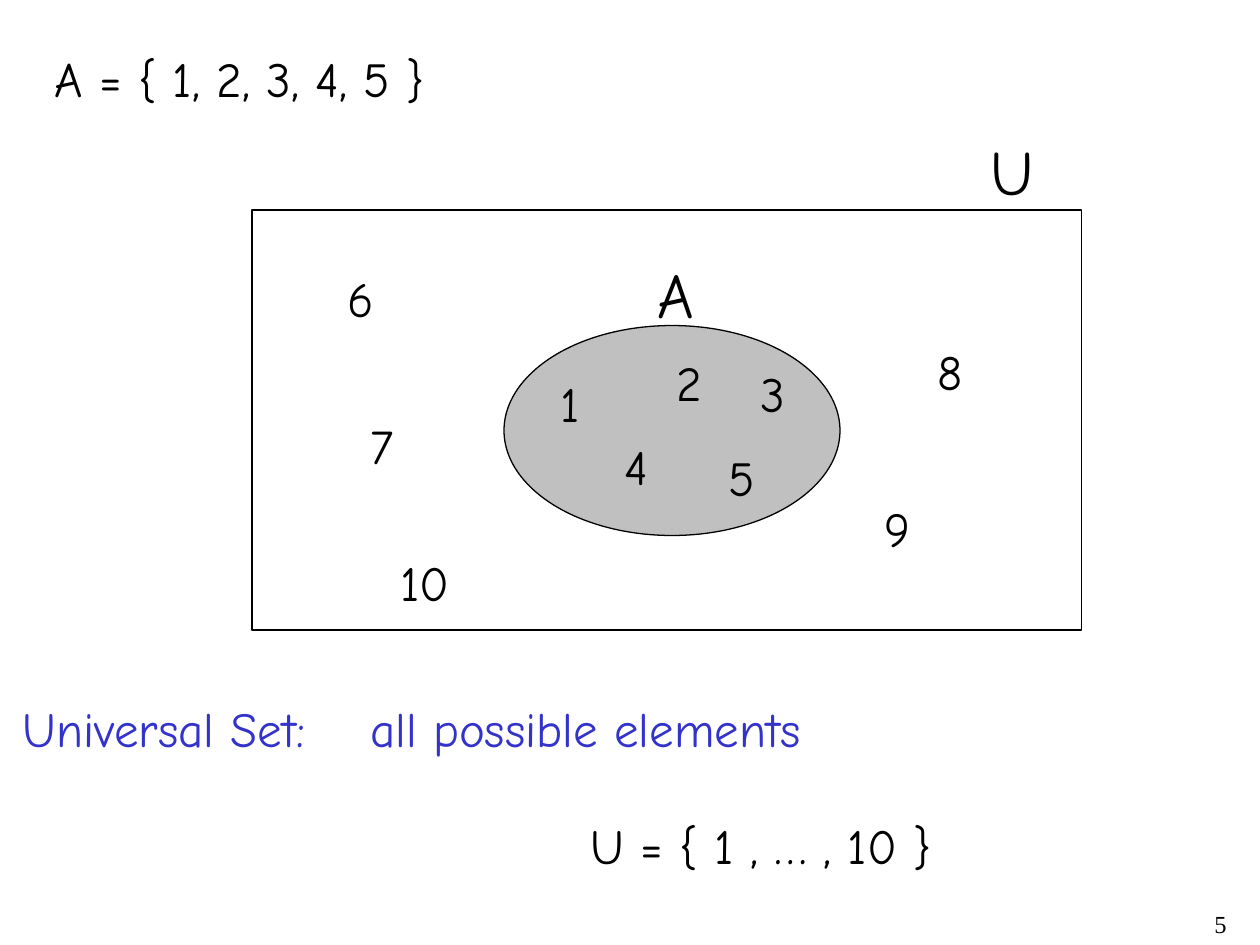
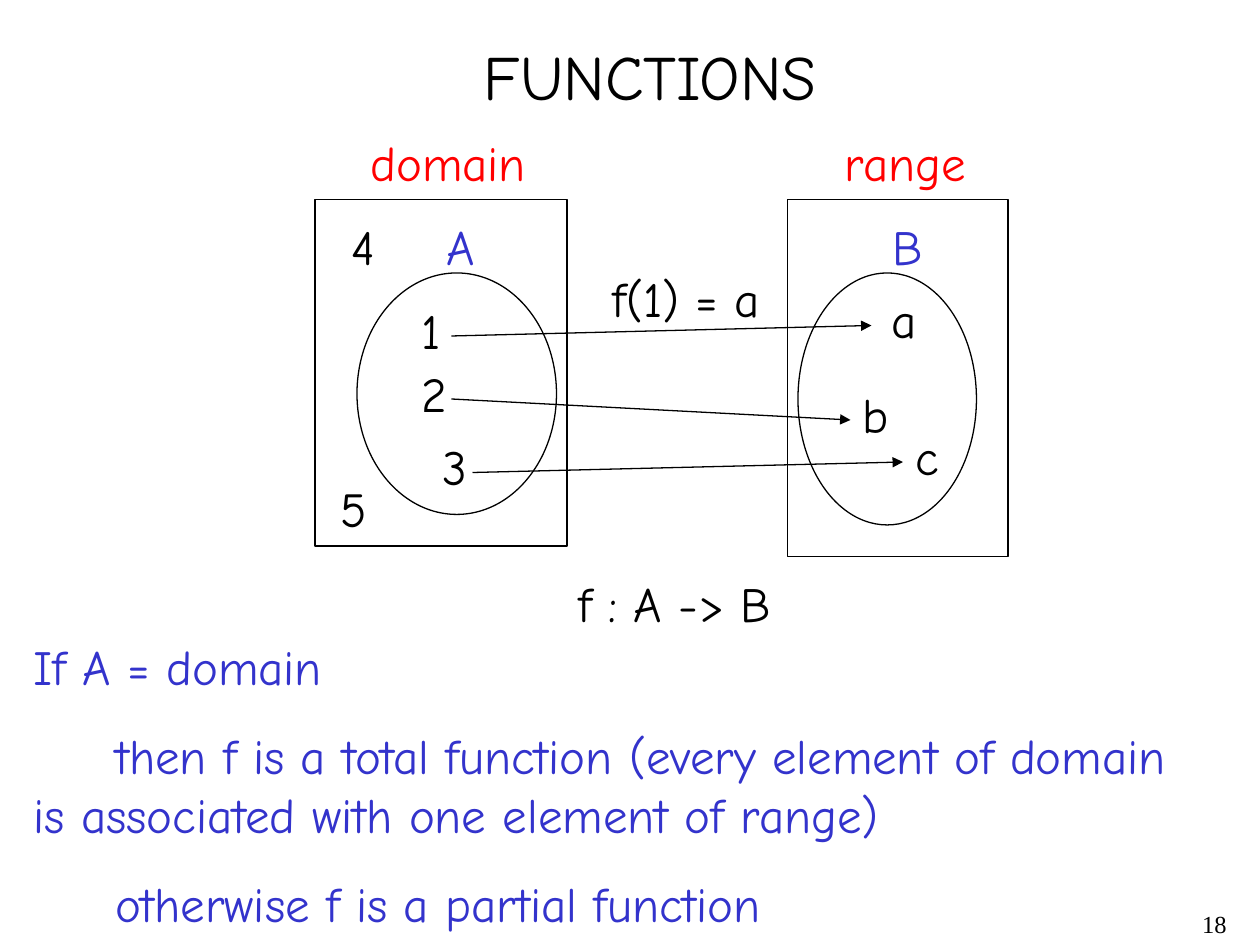
from dataclasses import dataclass

import lxml.etree
import pptx
import pptx.dml.color
import pptx.enum.shapes
import pptx.enum.text
import pptx.oxml.ns
import pptx.presentation
import pptx.shapes.base
import pptx.slide
import pptx.text.text
import pptx.util

Pt = pptx.util.Pt
RGBColor = pptx.dml.color.RGBColor
Shape = pptx.enum.shapes.MSO_SHAPE

BLACK = RGBColor(0x00, 0x00, 0x00)
BLUE = RGBColor(0x33, 0x33, 0xCC)
RED = RGBColor(0xFF, 0x00, 0x00)
GRAY = RGBColor(0xC0, 0xC0, 0xC0)
BODY_FONT = "Comic Neue"
NUMBER_FONT = "Times New Roman"
BODY_SIZE = 28
TITLE_SIZE = 36
LINE_WIDTH = Pt(0.75)
TITLE_ONLY, BLANK = 5, 6


@dataclass(frozen=True)
class Label:
    text: str
    left: float
    top: float
    width: float
    color: RGBColor = BLACK
    size: int = BODY_SIZE


@dataclass(frozen=True)
class Outline:
    kind: Shape
    left: float
    top: float
    width: float
    height: float
    fill: RGBColor | None = None


@dataclass(frozen=True)
class Arrow:
    start_x: float
    start_y: float
    end_x: float
    end_y: float


@dataclass(frozen=True)
class Line:
    text: str
    color: RGBColor
    space_before: float = 0
    first_indent: float = 0
    tab_stop: float = 0


UNIVERSE_OUTLINES = [
    Outline(Shape.OVAL, 288, 186, 192, 120, GRAY),
    Outline(Shape.RECTANGLE, 144, 120, 474, 240),
]
UNIVERSE_LABELS = [
    Label("A = { 1, 2, 3, 4, 5 }", 24, 24, 648),
    Label("1", 313.2, 210, 25.2),
    Label("2", 379.4, 198, 28.8),
    Label("3", 427.7, 204, 28),
    Label("4", 349.9, 246, 28),
    Label("5", 409, 252, 29.5),
    Label("A", 368.6, 142.6, 35.3, size=TITLE_SIZE),
    Label("U", 558.7, 72, 38.9, size=TITLE_SIZE),
    Label("6", 191.5, 150, 29.5),
    Label("7", 204.5, 234, 27.4),
    Label("8", 528.5, 191.5, 28.8),
    Label("9", 498.2, 281.5, 28.8),
    Label("10", 221.8, 312, 42.5),
]
UNIVERSE_LINES = [
    Line("Universal Set:\tall possible elements", BLUE, tab_stop=198.5),
    Line("U = { 1 , … , 10 }", BLACK, space_before=33.5, first_indent=324.5),
]

FUNCTION_OUTLINES = [
    Outline(Shape.OVAL, 204, 156, 114, 138),
    Outline(Shape.OVAL, 456, 156, 102, 144),
    Outline(Shape.RECTANGLE, 180, 114, 144, 198),
    Outline(Shape.RECTANGLE, 450, 114, 126, 204),
]
FUNCTION_ARROWS = [
    Arrow(258, 192, 498, 186),
    Arrow(258, 228, 486, 240),
    Arrow(270, 270, 516, 264),
]
FUNCTION_LABELS = [
    Label("domain", 204.5, 72, 104, RED),
    Label("range", 475.5, 72, 85, RED),
    Label("A", 248, 120, 30.2, BLUE),
    Label("B", 503, 120, 31.7, BLUE),
    Label("1", 234, 168, 25.2),
    Label("2", 234, 204, 28.8),
    Label("3", 246, 246, 28),
    Label("4", 193.7, 120, 28),
    Label("5", 187.2, 270, 29.5),
    Label("a", 502.6, 162, 28.8),
    Label("b", 486, 216, 29.5),
    Label("c", 516, 240, 27.4),
    Label("f(1) = a", 343, 150, 101),
    Label("f : A -> B", 323.5, 324, 136),
]
FUNCTION_LINES = [
    Line("If A = domain", BLUE),
    Line(
        "then f is a total function (every element of domain "
        "is associated with one element of range)",
        BLUE,
        space_before=17.5,
        first_indent=46.7,
    ),
    Line("otherwise f is a partial function", BLUE, space_before=17.5, first_indent=46.7),
]


def place(box: pptx.shapes.base.BaseShape, left: float, top: float,
          width: float, height: float) -> None:
    box.left, box.top, box.width, box.height = Pt(left), Pt(top), Pt(width), Pt(height)


def add_run(para: pptx.text.text._Paragraph, text: str, color: RGBColor,
            size: int = BODY_SIZE, font: str = BODY_FONT) -> None:
    span = para.add_run()
    span.text = text
    span.font.name = font
    span.font.size = Pt(size)
    span.font.color.rgb = color


def add_label(page: pptx.slide.Slide, label: Label) -> None:
    box = page.shapes.add_textbox(
        Pt(label.left), Pt(label.top), Pt(label.width), Pt(label.size * 1.2 + 7.2))
    frame = box.text_frame
    frame.word_wrap = label.width > 500
    frame.auto_size = pptx.enum.text.MSO_AUTO_SIZE.SHAPE_TO_FIT_TEXT
    add_run(frame.paragraphs[0], label.text, label.color, label.size)


def add_outline(page: pptx.slide.Slide, outline: Outline) -> None:
    shape = page.shapes.add_shape(
        outline.kind, Pt(outline.left), Pt(outline.top), Pt(outline.width), Pt(outline.height))
    shape.shadow.inherit = False
    if outline.fill is None:
        shape.fill.background()
    else:
        shape.fill.solid()
        shape.fill.fore_color.rgb = outline.fill
    shape.line.color.rgb = BLACK
    shape.line.width = LINE_WIDTH


def add_arrow(page: pptx.slide.Slide, arrow: Arrow) -> None:
    connector = page.shapes.add_connector(
        pptx.enum.shapes.MSO_CONNECTOR.STRAIGHT,
        Pt(arrow.start_x), Pt(arrow.start_y), Pt(arrow.end_x), Pt(arrow.end_y))
    connector.line.color.rgb = BLACK
    connector.line.width = LINE_WIDTH
    qualify = pptx.oxml.ns.qn
    properties = connector._element.spPr
    lxml.etree.SubElement(properties.find(qualify("a:ln")), qualify("a:tailEnd"), type="triangle")
    lxml.etree.SubElement(properties, qualify("a:effectLst"))


def add_lines(page: pptx.slide.Slide, lines: list[Line], left: float, top: float,
              width: float, height: float) -> None:
    box = page.shapes.add_textbox(Pt(left), Pt(top), Pt(width), Pt(height))
    frame = box.text_frame
    frame.word_wrap = True
    for index, line in enumerate(lines):
        para = frame.add_paragraph() if index else frame.paragraphs[0]
        properties = para._p.get_or_add_pPr()
        if line.first_indent:
            properties.set("marL", "0")
            properties.set("indent", str(Pt(line.first_indent)))
        if line.tab_stop:
            qualify = pptx.oxml.ns.qn
            stops = lxml.etree.SubElement(properties, qualify("a:tabLst"))
            lxml.etree.SubElement(
                stops, qualify("a:tab"), pos=str(Pt(line.tab_stop)), algn="l")
        if line.space_before:
            para.space_before = Pt(line.space_before)
        add_run(para, line.text, line.color)


def add_page_number(page: pptx.slide.Slide, number: int) -> None:
    box = page.shapes.add_textbox(Pt(558), Pt(516), Pt(150), Pt(24))
    box.text_frame.word_wrap = True
    para = box.text_frame.paragraphs[0]
    para.alignment = pptx.enum.text.PP_ALIGN.RIGHT
    add_run(para, str(number), BLACK, 14, NUMBER_FONT)


def set_title(page: pptx.slide.Slide, text: str) -> None:
    title = page.shapes.title
    place(title, 269.3, 18, 205.2, 50.4)
    frame = title.text_frame
    frame.auto_size = pptx.enum.text.MSO_AUTO_SIZE.NONE
    frame.word_wrap = False
    frame.vertical_anchor = pptx.enum.text.MSO_ANCHOR.TOP
    para = frame.paragraphs[0]
    para.alignment = pptx.enum.text.PP_ALIGN.LEFT
    add_run(para, text, BLACK, TITLE_SIZE)


def build_universe_page(deck: pptx.presentation.Presentation) -> None:
    page = deck.slides.add_slide(deck.slide_layouts[BLANK])
    add_page_number(page, 5)
    for outline in UNIVERSE_OUTLINES:
        add_outline(page, outline)
    for label in UNIVERSE_LABELS:
        add_label(page, label)
    add_lines(page, UNIVERSE_LINES, 6, 395.5, 540, 108)


def build_functions_page(deck: pptx.presentation.Presentation) -> None:
    page = deck.slides.add_slide(deck.slide_layouts[TITLE_ONLY])
    set_title(page, "FUNCTIONS")
    add_page_number(page, 18)
    for outline in FUNCTION_OUTLINES:
        add_outline(page, outline)
    for arrow in FUNCTION_ARROWS:
        add_arrow(page, arrow)
    for label in FUNCTION_LABELS:
        add_label(page, label)
    add_lines(page, FUNCTION_LINES, 12, 360, 676, 177)


def main() -> None:
    deck = pptx.Presentation()
    deck.slide_width, deck.slide_height = Pt(720), Pt(540)
    build_universe_page(deck)
    build_functions_page(deck)
    deck.save("out.pptx")


if __name__ == "__main__":
    main()
